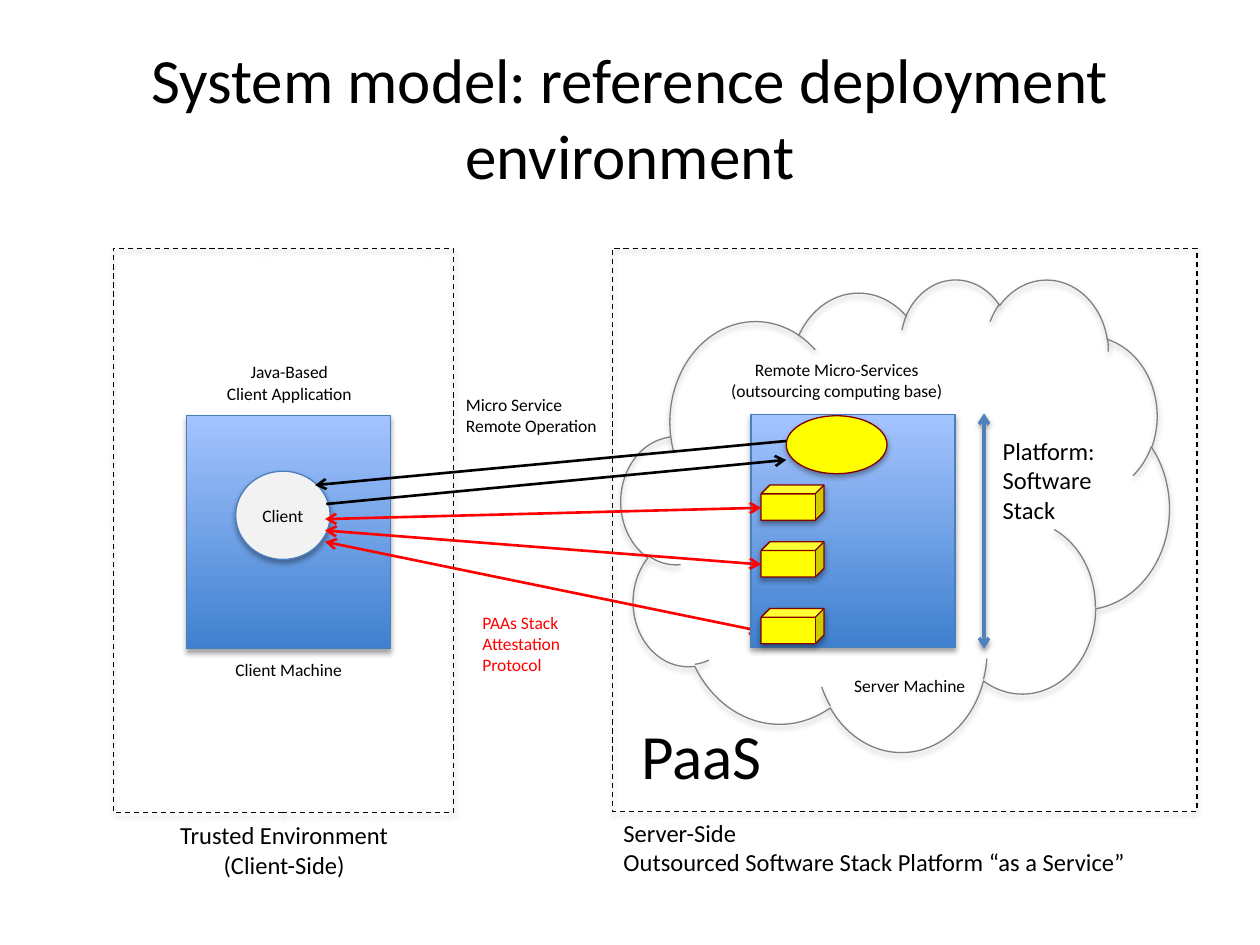
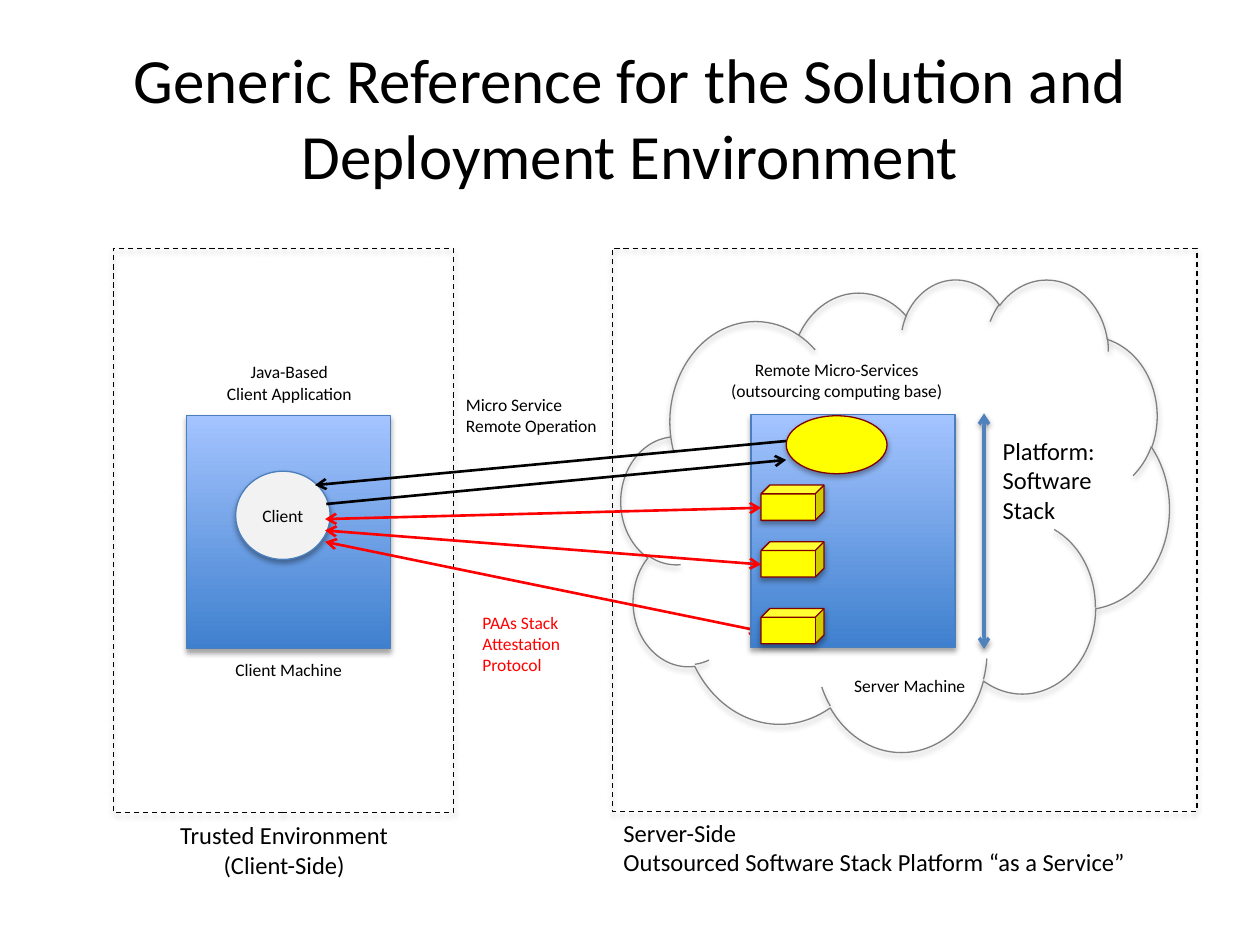
"""Builds two slides on the reference deployment environment of a platform as a service."""
from lxml.etree import SubElement
from pptx import Presentation
from pptx.dml.color import RGBColor
from pptx.enum.dml import MSO_LINE
from pptx.enum.shapes import MSO_CONNECTOR, MSO_SHAPE as SHAPE
from pptx.enum.text import MSO_ANCHOR, MSO_AUTO_SIZE as AUTO_SIZE, PP_ALIGN as ALIGN
from pptx.oxml.ns import qn
from pptx.util import Inches, Pt

COLORS = {
    "black": "000000", "red": "FF0000", "grey": "808080", "pale": "F2F2F2",
    "yellow": "FFFF00", "maroon": "800000", "edge": "4B7EBC", "accent": "4F81BD",
    "deep blue": "3F80CE", "light blue": "A4C4FF",
}
FONT = "Calibri"


def color(name):
    return RGBColor.from_string(COLORS[name])


def write(frame, text, size=10, ink="black", align=ALIGN.LEFT, wrap=True,
          fit=AUTO_SIZE.NONE, anchor=MSO_ANCHOR.TOP):
    frame.word_wrap = wrap
    frame.auto_size = fit
    frame.vertical_anchor = anchor
    frame.text = text
    for paragraph in frame.paragraphs:
        paragraph.alignment = align
        for run in paragraph.runs:
            run.font.name = FONT
            run.font.size = Pt(size)
            run.font.color.rgb = color(ink)


STYLES = {
    "machine": {"preset": SHAPE.RECTANGLE, "gradient": ("deep blue", "light blue"), "line": "edge"},
    "cloud": {"preset": SHAPE.CLOUD, "line": "grey"},
    "zone": {"preset": SHAPE.RECTANGLE, "line": "black", "dash": MSO_LINE.DASH},
    "client": {"preset": SHAPE.OVAL, "fill": "pale", "line": "edge"},
    "service": {"preset": SHAPE.OVAL, "fill": "yellow", "line": "maroon"},
    "module": {"preset": SHAPE.CUBE, "fill": "yellow", "line": "maroon"},
    "attestation": {"ends": ("headEnd", "tailEnd"), "line": "red", "width": 1.5},
    "reply": {"ends": ("tailEnd",), "line": "black", "width": 1.5},
    "request": {"ends": ("headEnd",), "line": "black", "width": 1.5},
    "stack": {"ends": ("headEnd", "tailEnd"), "line": "accent", "width": 2, "shadow": (38, 1.6)},
}

module_tops = [3.85, 4.3, 4.83]
modules = [("module", (6.04, top, 0.5, 0.28)) for top in module_tops]
attestations = [("attestation", (2.58, 4.12 + 0.09 * row, 6.04, top + 0.18))
                for row, top in enumerate(module_tops)]

diagram = [
    ("machine", (1.48, 3.3, 1.62, 1.85)),
    ("cloud", (4.93, 2.21, 4.35, 3.75)),
    ("client", (1.87, 3.74, 0.75, 0.7)),
    ("zone", (0.9, 1.97, 2.7, 4.48)),
    attestations[2],
    ("zone", (4.86, 1.97, 4.64, 4.47)),
    ("stack", (7.81, 3.28, 7.81, 5.15)),
    ("machine", (5.96, 3.29, 1.62, 1.85)),
    ("service", (6.24, 3.3, 0.8, 0.46)),
    *modules,
    *attestations[:2],
    ("reply", (6.24, 3.5, 2.5, 3.85)),
    ("request", (6.24, 3.65, 2.59, 4)),
]

centered = {"align": ALIGN.CENTER}
unwrapped = {"wrap": False}
captions = [
    ("Client Machine", (1.77, 5.18, 1.06, 0.27), {}),
    ("Java-Based\nClient Application", (1.65, 2.82, 1.29, 0.44), centered),
    ("Trusted Environment\n(Client-Side)", (1.31, 6.46, 1.89, 0.57),
     {**centered, **unwrapped, "size": 14}),
    ("Remote Micro-Services\n(outsourcing computing base)", (5.58, 2.8, 2.12, 0.44), centered),
    ("Server Machine", (6.64, 5.31, 1.16, 0.27), centered),
    ("PAAs Stack\nAttestation\nProtocol", (3.73, 4.81, 0.85, 0.61), {**unwrapped, "ink": "red"}),
    ("Micro Service\nRemote Operation", (3.6, 3.08, 1.26, 0.44), unwrapped),
    ("Server-Side\nOutsourced Software Stack Platform “as a Service”",
     (4.85, 6.44, 4.23, 0.57), {**unwrapped, "size": 14}),
    ("Platform:\nSoftware\nStack", (7.86, 3.41, 0.94, 0.81), {**unwrapped, "size": 14}),
]
paas_caption = ("PaaS", (4.99, 5.64, 1.18, 0.71), {**unwrapped, "size": 36})

pages = [
    ("System model: reference deployment environment", captions + [paas_caption]),
    ("Generic Reference for the Solution and Deployment Environment", captions),
]

deck = Presentation()
deck.slide_width, deck.slide_height = Inches(10), Inches(7.5)
title_only = deck.slide_layouts[5]

for heading, page_captions in pages:
    slide = deck.slides.add_slide(title_only)
    title = slide.shapes.title
    title.left, title.top, title.width, title.height = map(Inches, (0.5, 0.3, 9, 1.25))
    write(title.text_frame, heading, size=36, align=ALIGN.CENTER, anchor=MSO_ANCHOR.MIDDLE)

    for role, place in diagram:
        style = STYLES[role]
        if "ends" in style:
            part = slide.shapes.add_connector(MSO_CONNECTOR.STRAIGHT, *map(Inches, place))
            shadow = style.get("shadow")
        else:
            part = slide.shapes.add_shape(style["preset"], *map(Inches, place))
            shadow = (35, 1.8)
            if "gradient" in style:
                part.fill.gradient()
                part.fill.gradient_angle = 90
                for stop, shade in zip(part.fill.gradient_stops, style["gradient"]):
                    stop.color.rgb = color(shade)
            elif "fill" in style:
                part.fill.solid()
                part.fill.fore_color.rgb = color(style["fill"])
            else:
                part.fill.background()
            if role == "client":
                write(part.text_frame, "Client", align=ALIGN.CENTER, anchor=MSO_ANCHOR.MIDDLE)

        part.line.color.rgb = color(style["line"])
        part.line.width = Pt(style.get("width", 0.75))
        if "dash" in style:
            part.line.dash_style = style["dash"]
        properties = part.element.spPr
        for end in style.get("ends", ()):
            SubElement(properties.find(qn("a:ln")), qn(f"a:{end}"), type="arrow")

        effects = SubElement(properties, qn("a:effectLst"))
        if shadow:
            opacity, distance = shadow
            outer = SubElement(effects, qn("a:outerShdw"), blurRad=str(Pt(3.1)),
                               dist=str(Pt(distance)), dir="5400000", rotWithShape="0")
            tint = SubElement(outer, qn("a:srgbClr"), val=COLORS["black"])
            SubElement(tint, qn("a:alpha"), val=str(opacity * 1000))

    for caption, place, text_format in page_captions:
        box = slide.shapes.add_textbox(*map(Inches, place))
        write(box.text_frame, caption, fit=AUTO_SIZE.SHAPE_TO_FIT_TEXT, **text_format)

deck.save("out.pptx")
